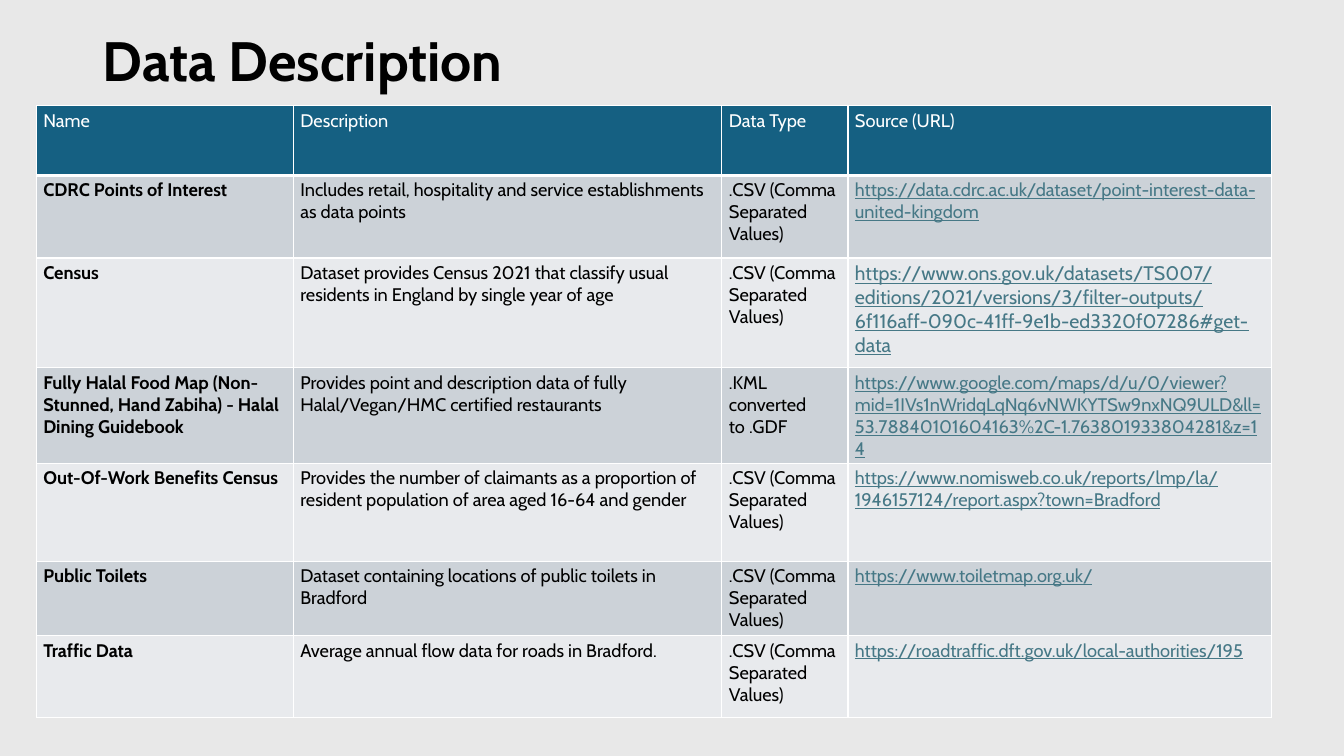
import pptx
import pptx.util
import pptx.dml.color
import pptx.enum.text
import pptx.oxml
import pptx.oxml.ns
from dataclasses import dataclass

Inches = pptx.util.Inches
Pt = pptx.util.Pt


@dataclass(frozen=True)
class Theme:
    font: str = "Cabin"
    background: str = "E8E8E8"
    header: str = "156082"
    bands: tuple = ("CCD2D8", "E8EAED")
    white: str = "FFFFFF"
    text: str = "000000"
    link: str = "467886"
    title_size: float = 39.6
    body_size: float = 13
    large_link_size: float = 14


THEME = Theme()
CSV = ".CSV (Comma Separated Values)"
HEADINGS = ("Name", "Description", "Data Type", "Source (URL)")
DATASETS = (
    ("CDRC Points of Interest",
     "Includes retail, hospitality and service establishments as data points",
     CSV, "https://data.cdrc.ac.uk/dataset/point-interest-data-united-kingdom"),
    ("Census",
     "Dataset provides Census 2021 that classify usual residents in England by single year of age",
     CSV, "https://www.ons.gov.uk/datasets/TS007/editions/2021/versions/3/filter-outputs/"
     "6f116aff-090c-41ff-9e1b-ed3320f07286#get-data"),
    ("Fully Halal Food Map (Non-Stunned, Hand Zabiha) - Halal Dining Guidebook",
     "Provides point and description data of fully Halal/Vegan/HMC certified restaurants",
     ".KML converted to .GDF",
     "https://www.google.com/maps/d/u/0/viewer?mid=1IVs1nWridqLqNq6vNWKYTSw9nxNQ9ULD"
     "&ll=53.78840101604163%2C-1.763801933804281&z=14"),
    ("Out-Of-Work Benefits Census",
     "Provides the number of claimants as a proportion of resident population of area "
     "aged 16-64 and gender",
     CSV, "https://www.nomisweb.co.uk/reports/lmp/la/1946157124/report.aspx?town=Bradford"),
    ("Public Toilets", "Dataset containing locations of public toilets in Bradford",
     CSV, "https://www.toiletmap.org.uk/"),
    ("Traffic Data", "Average annual flow data for roads in Bradford.",
     CSV, "https://roadtraffic.dft.gov.uk/local-authorities/195"),
)
COLUMN_WIDTHS = (2.55, 4.25, 1.25, 4.2)
ROW_HEIGHTS = (0.69, 0.82, 1.09, 0.91, 0.97, 0.74, 0.81)


def rgb(value):
    return pptx.dml.color.RGBColor.from_string(value)


def write_text(tf, text, *, size=THEME.body_size, color=THEME.text, bold=False,
               underline=False, line_spacing=None):
    tf.word_wrap = True
    p = tf.paragraphs[0]
    p.line_spacing = line_spacing
    r = p.add_run()
    r.text = text
    r.font.name = THEME.font
    r.font.size = Pt(size)
    r.font.color.rgb = rgb(color)
    r.font.bold = bold
    r.font.underline = underline


def set_borders(cell, **widths):
    tc_pr = cell._tc.get_or_add_tcPr()
    for i, side in enumerate("LRTB"):
        width = Pt(widths.get(side, 1))
        tc_pr.insert(i, pptx.oxml.parse_xml(
            f'<a:ln{side} {pptx.oxml.ns.nsdecls("a")} w="{width}">'
            f'<a:solidFill><a:srgbClr val="{THEME.white}"/></a:solidFill></a:ln{side}>'))


def fill_cell(cell, text, fill, borders, **text_format):
    cell.margin_left = cell.margin_right = Inches(0.07)
    cell.margin_top = cell.margin_bottom = Inches(0.04)
    cell.fill.solid()
    cell.fill.fore_color.rgb = rgb(fill)
    set_borders(cell, **borders)
    write_text(cell.text_frame, text, **text_format)


def add_title(slide, text):
    sp = slide.shapes.add_textbox(Inches(0.92), Inches(0.4), Inches(5.07), Inches(0.46))
    tf = sp.text_frame
    tf.vertical_anchor = pptx.enum.text.MSO_ANCHOR.MIDDLE
    write_text(tf, text, size=THEME.title_size, bold=True, line_spacing=0.9)


def body_format(row, col):
    if col == 3:
        size = THEME.large_link_size if DATASETS[row - 1][0] == "Census" else THEME.body_size
        return dict(color=THEME.link, underline=True, size=size)
    return dict(bold=col == 0)


def add_dataset_table(slide):
    rows = (HEADINGS, *DATASETS)
    table = slide.shapes.add_table(
        len(rows), len(HEADINGS), Inches(0.36), Inches(1.05),
        Inches(sum(COLUMN_WIDTHS)), Inches(sum(ROW_HEIGHTS))).table
    table.horz_banding = False
    for column, width in zip(table.columns, COLUMN_WIDTHS):
        column.width = Inches(width)
    for i, (values, height) in enumerate(zip(rows, ROW_HEIGHTS)):
        table.rows[i].height = Inches(height)
        for j, value in enumerate(values):
            cell = table.cell(i, j)
            if i == 0:
                fill_cell(cell, value, THEME.header, dict(B=3), color=THEME.white)
            else:
                borders = dict(T=3) if i == 1 else {}
                fill_cell(cell, value, THEME.bands[(i - 1) % 2], borders, **body_format(i, j))


def main():
    prs = pptx.Presentation()
    prs.slide_width = Inches(13.33)
    prs.slide_height = Inches(7.5)
    slide = prs.slides.add_slide(prs.slide_layouts[6])
    slide.background.fill.solid()
    slide.background.fill.fore_color.rgb = rgb(THEME.background)
    add_title(slide, "Data Description")
    add_dataset_table(slide)
    prs.save("out.pptx")


if __name__ == "__main__":
    main()
